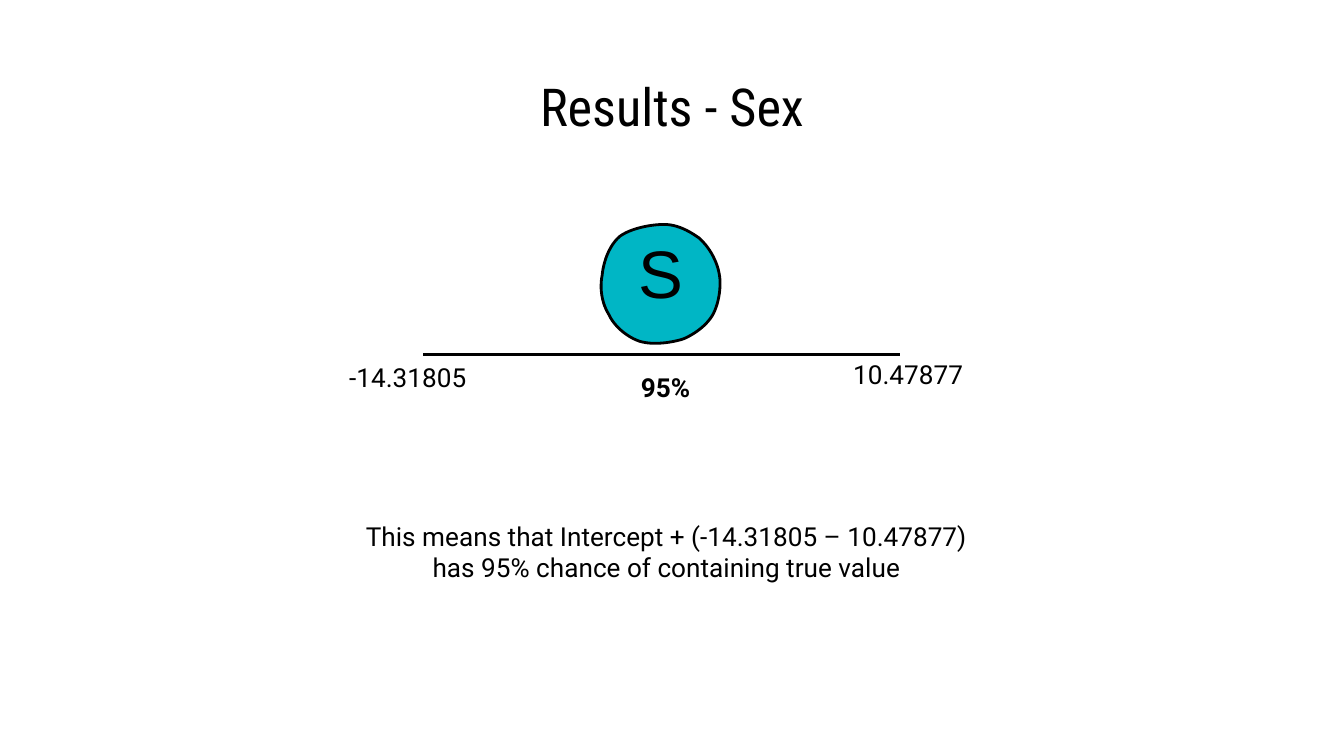
"""Build the slide that shows the 95% interval for the sex effect."""
from dataclasses import dataclass

from lxml import etree
from pptx import Presentation
from pptx.dml.color import RGBColor
from pptx.enum.shapes import MSO_CONNECTOR
from pptx.enum.text import MSO_ANCHOR, PP_ALIGN
from pptx.oxml.ns import qn
from pptx.util import Inches, Pt

LEFT, CENTER = PP_ALIGN.LEFT, PP_ALIGN.CENTER
TOP = MSO_ANCHOR.TOP
STRAIGHT = MSO_CONNECTOR.STRAIGHT


@dataclass(frozen=True)
class Theme:
    ink: RGBColor = RGBColor(0x00, 0x00, 0x00)
    teal: RGBColor = RGBColor(0x00, 0xB6, 0xC5)
    heading: str = "Roboto Condensed"
    body: str = "Roboto"
    symbol: str = "Arial"
    heading_size: int = 28
    body_size: int = 14
    symbol_size: int = 36
    stroke: float = 1.5


THEME = Theme()
WIDTH = 10
HEIGHT = WIDTH * 9 / 16
HEADING = (THEME.heading, THEME.heading_size, False)
BODY = (THEME.body, THEME.body_size, False)
STRONG = (THEME.body, THEME.body_size, True)
SYMBOL = (THEME.symbol, THEME.symbol_size, False)

TEXTS = [
    ("Results - Sex", (0.5, 0.45, 9, 0.63), HEADING, CENTER, 0.1),
    ("95%", (4.67, 2.66, 0.75, 0.48), STRONG, LEFT, 0.1),
    ("-14.31805", (2.5, 2.64, 5, 0.34), BODY, LEFT, 0.05),
    ("10.47877", (6.25, 2.62, 5, 0.34), BODY, LEFT, 0.05),
    ("This means that Intercept + (-14.31805 – 10.47877) "
     "has 95% chance of containing true value",
     (2.46, 3.82, 5, 0.57), BODY, CENTER, 0.05),
]
INTERVAL = (3.15, 6.7, 2.64)
BLOB_LETTER = "S"
BLOB_START = (4.94, 1.67)
BLOB_CURVES = [
    ((5.04, 1.67), (5.13, 1.72), (5.2, 1.77)),
    ((5.27, 1.83), (5.33, 1.93), (5.35, 2.03)),
    ((5.37, 2.12), (5.35, 2.25), (5.31, 2.33)),
    ((5.27, 2.41), (5.18, 2.48), (5.09, 2.52)),
    ((5, 2.55), (4.86, 2.57), (4.76, 2.54)),
    ((4.67, 2.51), (4.57, 2.43), (4.53, 2.34)),
    ((4.48, 2.26), (4.46, 2.15), (4.48, 2.05)),
    ((4.49, 1.95), (4.53, 1.83), (4.61, 1.76)),
    ((4.69, 1.7), (4.84, 1.67), (4.94, 1.67)),
]
CURVE_STEPS = 12


def write(shape, wording, style, align, inset):
    frame = shape.text_frame
    frame.word_wrap = True
    frame.vertical_anchor = TOP
    frame.margin_left = frame.margin_right = Inches(0.1)
    frame.margin_top = frame.margin_bottom = Inches(inset)
    paragraph = frame.paragraphs[0]
    paragraph.text = wording
    paragraph.alignment = align
    font = paragraph.font
    font.name, font.bold = style[0], style[2]
    font.size = Pt(style[1])
    font.color.rgb = THEME.ink


def outline(line):
    line.color.rgb = THEME.ink
    line.width = Pt(THEME.stroke)


def curve_points(start, curves):
    for first, second, end in curves:
        for step in range(1, CURVE_STEPS + 1):
            t = step / CURVE_STEPS
            u = 1 - t
            yield tuple(
                Inches(u**3 * a + 3 * u * u * t * b + 3 * u * t * t * c + t**3 * d)
                for a, b, c, d in zip(start, first, second, end)
            )
        start = end


def add_blob(slide):
    x, y = BLOB_START
    builder = slide.shapes.build_freeform(Inches(x), Inches(y))
    builder.add_line_segments(curve_points(BLOB_START, BLOB_CURVES), close=True)
    blob = builder.convert_to_shape()
    blob.shadow.inherit = False
    blob.fill.solid()
    blob.fill.fore_color.rgb = THEME.teal
    outline(blob.line)
    write(blob, BLOB_LETTER, SYMBOL, CENTER, 0.05)


def add_interval(slide):
    low, high, level = (Inches(value) for value in INTERVAL)
    interval = slide.shapes.add_connector(STRAIGHT, low, level, high, level)
    outline(interval.line)
    etree.SubElement(interval.element.spPr, qn("a:effectLst"))


def main():
    deck = Presentation()
    deck.slide_width, deck.slide_height = Inches(WIDTH), Inches(HEIGHT)
    slide = deck.slides.add_slide(deck.slide_layouts[6])
    add_blob(slide)
    add_interval(slide)
    for wording, place, style, align, inset in TEXTS:
        label = slide.shapes.add_textbox(*map(Inches, place))
        write(label, wording, style, align, inset)
    deck.save("out.pptx")


if __name__ == "__main__":
    main()
